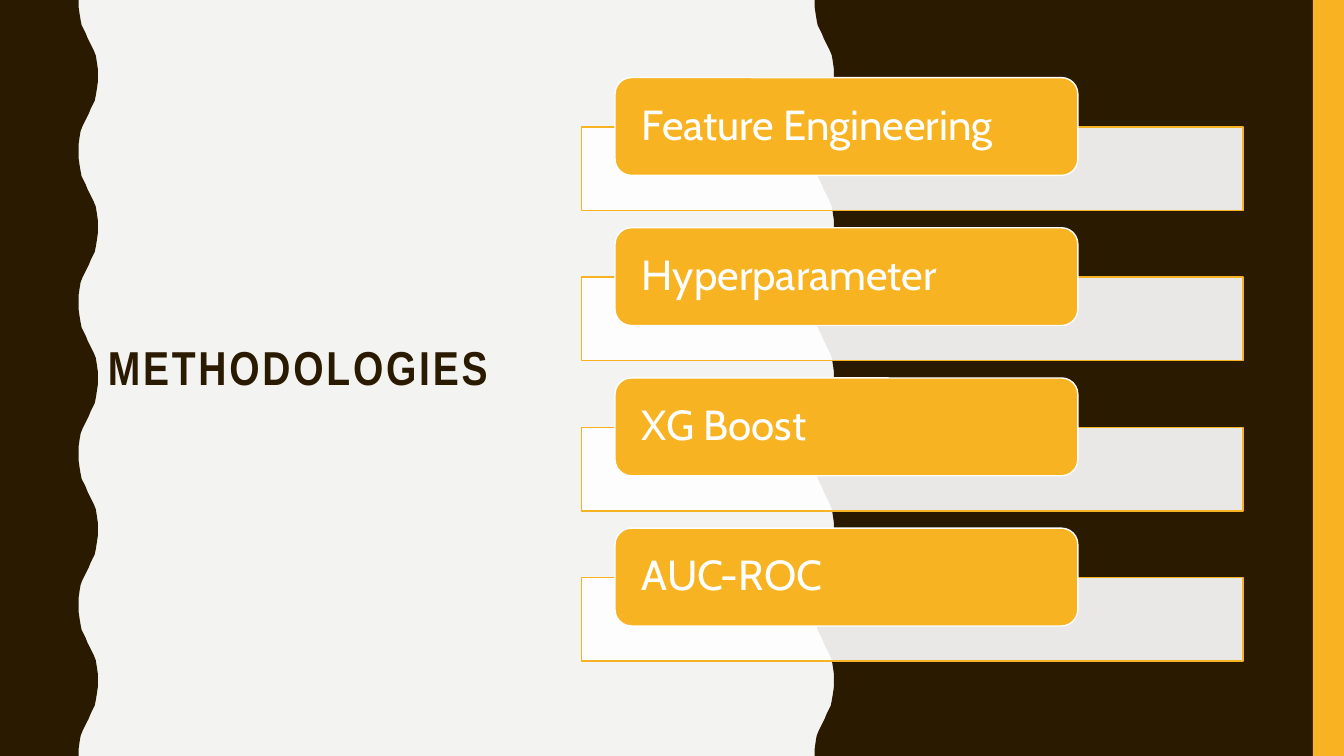
from dataclasses import dataclass

from lxml.etree import SubElement
from pptx import Presentation
from pptx.dml.color import RGBColor
from pptx.enum.shapes import MSO_SHAPE
from pptx.enum.text import MSO_ANCHOR, MSO_AUTO_SIZE, PP_ALIGN
from pptx.oxml.ns import qn
from pptx.shapes.autoshape import Shape
from pptx.slide import Slide
from pptx.text.text import TextFrame
from pptx.util import Emu, Pt

EMU_PER_PX = 9144
PAGE_WIDTH, PAGE_HEIGHT = 1333, 750

BROWN = RGBColor(0x2A, 0x1A, 0x00)
AMBER = RGBColor(0xF8, 0xB3, 0x23)
PALE = RGBColor(0xF3, 0xF3, 0xF2)
WHITE = RGBColor(0xFF, 0xFF, 0xFF)

HALF_WAVE = 75
WAVE_DEPTH = 19
WAVE_PROFILE = [
    (0, 0), (0, 7), (1, 14), (2, 20), (3, 25), (5, 29), (7, 33),
    (9, 38), (11, 42), (13, 46), (15, 50), (17, 55), (18, 61), (19, 68),
]

METHODS = ["Feature Engineering", "Hyperparameter", "XG Boost", "AUC-ROC"]
METHOD_PITCH = 149


@dataclass(frozen=True)
class Area:
    left: int
    top: int
    width: int
    height: int

    def moved_down(self, distance: int) -> "Area":
        return Area(self.left, self.top + distance, self.width, self.height)


@dataclass(frozen=True)
class WavyPanel:
    wave_left: int
    outer_edge: int


WAVY_PANELS = [WavyPanel(808, PAGE_WIDTH), WavyPanel(78, 0)]
EDGE_STRIP = Area(1302, 0, 31, PAGE_HEIGHT)
TITLE_AREA = Area(97, 71, 410, 593)
BAR_AREA = Area(577, 126, 656, 83)
LABEL_AREA = Area(610, 77, 459, 97)


def px(length: int) -> Emu:
    return Emu(length * EMU_PER_PX)


def paint(shape: Shape, fill: RGBColor, line: RGBColor | None = None) -> None:
    shape.shadow.inherit = False
    shape.fill.solid()
    shape.fill.fore_color.rgb = fill
    if line is None:
        shape.line.fill.background()
    else:
        shape.line.color.rgb = line
        shape.line.width = Pt(1)


def add_box(page: Slide, kind: MSO_SHAPE, area: Area, fill: RGBColor,
            line: RGBColor | None = None) -> Shape:
    box = page.shapes.add_shape(
        kind, px(area.left), px(area.top), px(area.width), px(area.height))
    paint(box, fill, line)
    return box


def set_opacity(shape: Shape, percent: int) -> None:
    color = shape.fill._xPr.find(qn("a:solidFill"))[0]
    SubElement(color, qn("a:alpha")).set("val", str(percent * 1000))


def add_wavy_panel(page: Slide, panel: WavyPanel) -> None:
    points = []
    for half in range(PAGE_HEIGHT // HALF_WAVE):
        for offset, drop in WAVE_PROFILE:
            shift = WAVE_DEPTH - offset if half % 2 else offset
            points.append((panel.wave_left + shift, half * HALF_WAVE + drop))
    points += [(panel.wave_left, PAGE_HEIGHT), (panel.outer_edge, PAGE_HEIGHT)]
    builder = page.shapes.build_freeform(panel.outer_edge, 0, scale=EMU_PER_PX)
    builder.add_line_segments(points, close=True)
    paint(builder.convert_to_shape(), BROWN)


def write_text(frame: TextFrame, text: str, *, font: str, size: int,
               color: RGBColor, bold: bool = False, tracking: int = 0,
               side_inset: int = 10) -> None:
    frame.word_wrap = True
    frame.auto_size = MSO_AUTO_SIZE.NONE
    frame.vertical_anchor = MSO_ANCHOR.MIDDLE
    frame.margin_left = frame.margin_right = px(side_inset)
    frame.margin_top = frame.margin_bottom = 0
    para = frame.paragraphs[0]
    para.alignment = PP_ALIGN.LEFT
    para.line_spacing = 0.9
    span = para.add_run()
    span.text = text
    span.font.name = font
    span.font.size = Pt(size)
    span.font.bold = bold
    span.font.color.rgb = color
    if tracking:
        span._r.get_or_add_rPr().set("spc", str(tracking * 100))


def add_title(page: Slide, text: str, area: Area) -> None:
    title = page.shapes.title
    title.left, title.top = px(area.left), px(area.top)
    title.width, title.height = px(area.width), px(area.height)
    write_text(title.text_frame, text, font="Arial Narrow", size=34,
               color=BROWN, bold=True, tracking=2)


def add_method(page: Slide, label: str, row: int) -> None:
    drop = row * METHOD_PITCH
    bar = add_box(page, MSO_SHAPE.RECTANGLE, BAR_AREA.moved_down(drop),
                  WHITE, AMBER)
    set_opacity(bar, 90)
    box = add_box(page, MSO_SHAPE.ROUNDED_RECTANGLE,
                  LABEL_AREA.moved_down(drop), AMBER, WHITE)
    write_text(box.text_frame, label, font="Cabin", size=30, color=WHITE,
               side_inset=22)


def main() -> None:
    deck = Presentation()
    deck.slide_width, deck.slide_height = px(PAGE_WIDTH), px(PAGE_HEIGHT)
    page = deck.slides.add_slide(deck.slide_layouts.get_by_name("Title Only"))
    page.background.fill.solid()
    page.background.fill.fore_color.rgb = PALE

    for panel in WAVY_PANELS:
        add_wavy_panel(page, panel)
    add_box(page, MSO_SHAPE.RECTANGLE, EDGE_STRIP, AMBER)
    add_title(page, "METHODOLOGIES", TITLE_AREA)
    for row, label in enumerate(METHODS):
        add_method(page, label, row)

    deck.save("out.pptx")


if __name__ == "__main__":
    main()
